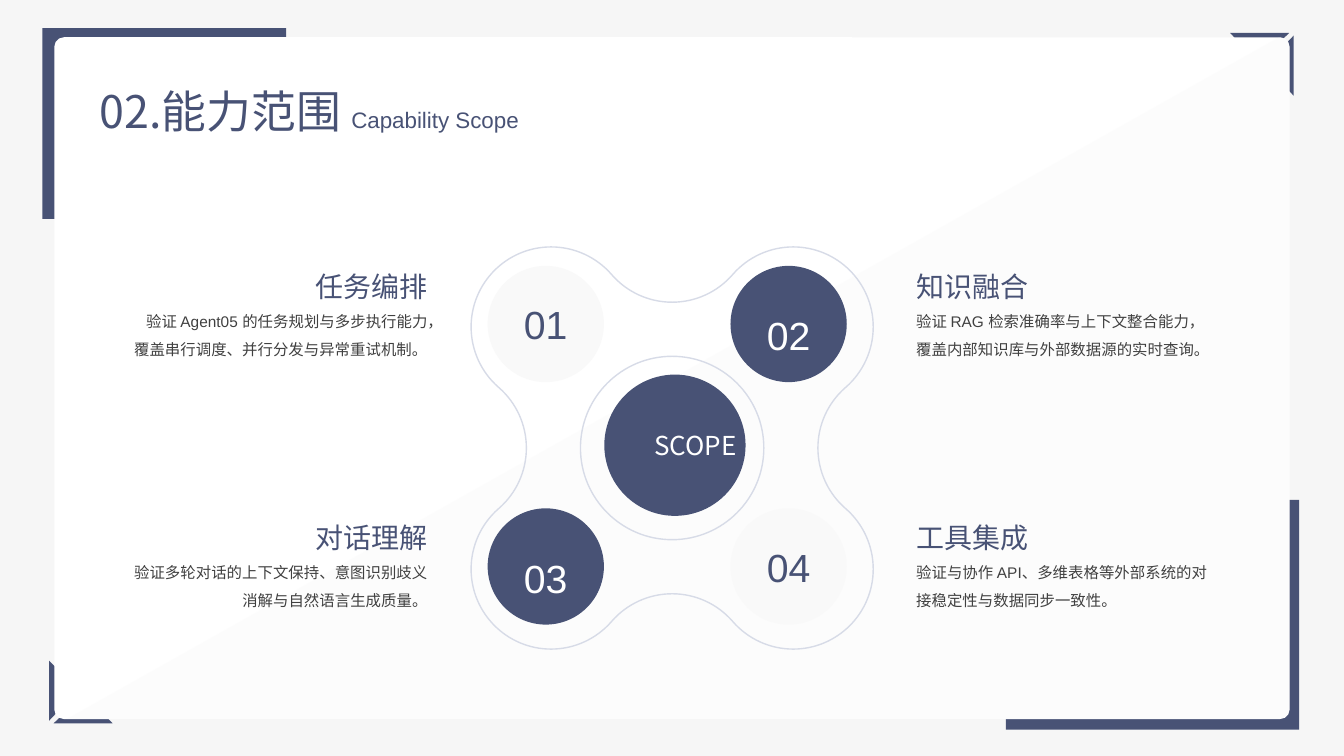
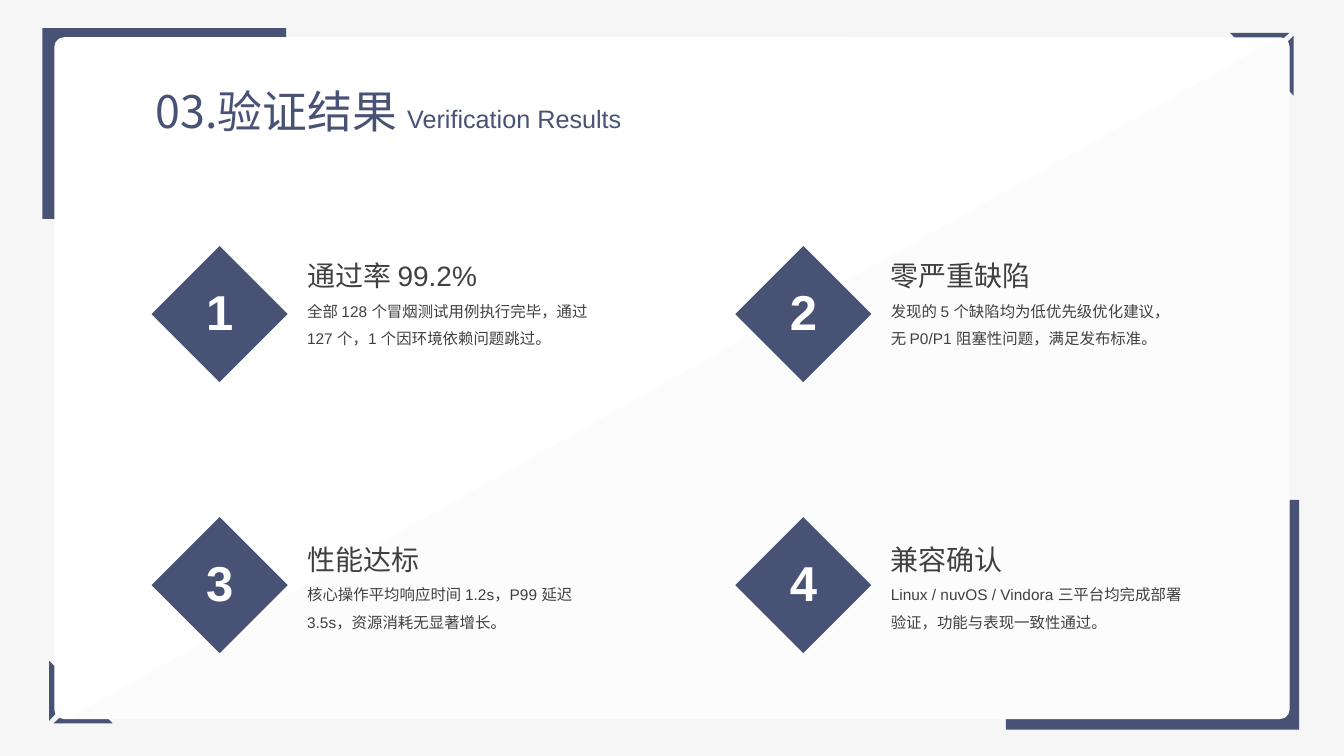
from dataclasses import dataclass
from math import atan2, ceil, cos, degrees, floor, hypot, radians, sin, tan
from typing import Optional

from lxml.etree import SubElement
from pptx import Presentation
from pptx.dml.color import RGBColor
from pptx.enum.shapes import MSO_SHAPE
from pptx.enum.text import MSO_ANCHOR, MSO_AUTO_SIZE, PP_ALIGN
from pptx.oxml.ns import qn
from pptx.shapes.autoshape import Shape
from pptx.slide import Slide
from pptx.text.text import TextFrame
from pptx.util import Cm, Pt

COLORS = {
    "page": "F6F6F6",
    "card": "FFFFFF",
    "navy": "485275",
    "shade": "F2F2F2",
    "pale": "F9F9F9",
    "outline": "D7DBE7",
    "body": "404040",
    "white": "FFFFFF",
}
LATIN, CJK = "Arial", "Noto Sans CJK SC"

Point = tuple[float, float]
Segment = tuple[Point, ...]  # one point for a line, three for a Bézier curve


@dataclass(frozen=True)
class Box:
    """Left, top, width and height in centimetres."""
    x: float
    y: float
    w: float
    h: float

    def shifted(self, dx: float, dy: float) -> "Box":
        return Box(self.x + dx, self.y + dy, self.w, self.h)

    def emu(self) -> tuple[Cm, Cm, Cm, Cm]:
        return Cm(self.x), Cm(self.y), Cm(self.w), Cm(self.h)


@dataclass(frozen=True)
class Item:
    title: str
    body: str


CAPABILITIES = [
    Item("任务编排", "验证 Agent05 的任务规划与多步执行能力，覆盖串行调度、并行分发与异常重试机制。"),
    Item("知识融合", "验证 RAG 检索准确率与上下文整合能力，覆盖内部知识库与外部数据源的实时查询。"),
    Item("对话理解", "验证多轮对话的上下文保持、意图识别歧义消解与自然语言生成质量。"),
    Item("工具集成", "验证与协作 API、多维表格等外部系统的对接稳定性与数据同步一致性。"),
]
RESULTS = [
    Item("通过率 99.2%", "全部 128 个冒烟测试用例执行完毕，通过 127 个，1 个因环境依赖问题跳过。"),
    Item("零严重缺陷", "发现的 5 个缺陷均为低优先级优化建议，无 P0/P1 阻塞性问题，满足发布标准。"),
    Item("性能达标", "核心操作平均响应时间 1.2s，P99 延迟 3.5s，资源消耗无显著增长。"),
    Item("兼容确认", "Linux / nuvOS / Vindora 三平台均完成部署验证，功能与表现一致性通过。"),
]


def rgb(name: str) -> RGBColor:
    return RGBColor.from_string(COLORS[name])


def paint(sp: Shape, fill: Optional[str], line: Optional[str] = None) -> Shape:
    sp.shadow.inherit = False
    if fill:
        sp.fill.solid()
        sp.fill.fore_color.rgb = rgb(fill)
    else:
        sp.fill.background()
    if line:
        sp.line.color.rgb = rgb(line)
        sp.line.width = Pt(1)
    else:
        sp.line.fill.background()
    return sp


def add_shape(s: Slide, kind: MSO_SHAPE, box: Box, fill: str) -> Shape:
    return paint(s.shapes.add_shape(kind, *box.emu()), fill)


def add_outline(s: Slide, contours: list[list[Segment]], fill: Optional[str],
                line: Optional[str] = None) -> Shape:
    """Draw closed contours of lines and curves as one freeform."""
    builder = None
    for (start,), *segments in contours:
        x, y = Cm(start[0]), Cm(start[1])
        if builder is None:
            builder = s.shapes.build_freeform(x, y, scale=1.0)
        else:
            builder.move_to(x, y)
        builder.add_line_segments(
            [(Cm(px), Cm(py)) for seg in segments for px, py in seg], close=True)
    sp = builder.convert_to_shape()
    nodes = iter(list(sp.element.iter(qn("a:lnTo"))))
    for seg in (seg for contour in contours for seg in contour[1:]):
        node = next(nodes)
        if len(seg) == 3:
            node.tag = qn("a:cubicBezTo")
            for extra in (next(nodes), next(nodes)):
                node.append(extra[0])
                extra.getparent().remove(extra)
    return paint(sp, fill, line)


def polar(center: Point, radius: float, angle: float) -> Point:
    a = radians(angle)
    return center[0] + radius * cos(a), center[1] + radius * sin(a)


def arc(center: Point, radius: float, start: float, end: float) -> list[Segment]:
    """Start point, then curves that break at every right angle."""
    low, high = min(start, end), max(start, end)
    turns = [90 * k for k in range(floor(low / 90) + 1, ceil(high / 90))]
    stops = [low, *turns, high]
    if end < start:
        stops.reverse()
    segments: list[Segment] = [(polar(center, radius, start),)]
    for a, b in zip(stops, stops[1:]):
        reach = 4 / 3 * tan(radians(b - a) / 4)
        lift, swing = hypot(1, reach) * radius, degrees(atan2(reach, 1))
        segments.append((polar(center, lift, a + swing),
                         polar(center, lift, b - swing),
                         polar(center, radius, b)))
    return segments


def add_frame(s: Slide, box: Box, wrap: bool = True, grow: bool = True) -> TextFrame:
    tf = s.shapes.add_textbox(*box.emu()).text_frame
    tf.word_wrap = wrap
    if grow:
        tf.auto_size = MSO_AUTO_SIZE.SHAPE_TO_FIT_TEXT
    return tf


def write(tf: TextFrame, text: str, *, size: float, color: str = "navy",
          font: str = LATIN, bold: bool = False,
          align: PP_ALIGN = PP_ALIGN.LEFT, spacing: float = 1.0,
          same_line: bool = False) -> None:
    """Write a paragraph, or a further run of the last one."""
    p = tf.paragraphs[-1]
    if p.runs and not same_line:
        p = tf.add_paragraph()
    p.alignment, p.line_spacing = align, spacing
    r = p.add_run()
    r.text = text
    r.font.size, r.font.name, r.font.bold = Pt(size), font, bold
    r.font.color.rgb = rgb(color)
    SubElement(r._r.get_or_add_rPr(), qn("a:ea")).set("typeface", CJK)


def add_item(s: Slide, box: Box, item: Item, *, color: str, spacing: float,
             align: PP_ALIGN = PP_ALIGN.LEFT) -> None:
    tf = add_frame(s, box)
    write(tf, item.title, size=20, color=color, spacing=spacing, align=align)
    write(tf, item.body, size=11, color="body", spacing=1.5, align=align)


def add_card(s: Slide) -> None:
    """Draw the white card with its corner brackets and diagonal shade."""
    add_shape(s, MSO_SHAPE.RECTANGLE, Box(1.07, 0.71, 6.14, 4.81), "navy")
    add_shape(s, MSO_SHAPE.RECTANGLE, Box(25.35, 12.6, 7.39, 5.79), "navy")
    corner = [
        [(1.6, 17.02), (1.6, 17.78), (1.24, 18.16), (1.24, 16.65)],
        [(2.84, 18.23), (1.35, 18.23), (1.73, 17.86), (2.49, 17.86)],
    ]
    opposite = [[(33.84 - x, 19.06 - y) for x, y in ring] for ring in corner]
    for contours in (corner, opposite):
        add_outline(s, [[(point,) for point in ring] for ring in contours], "navy")
    card = add_shape(s, MSO_SHAPE.ROUNDED_RECTANGLE, Box(1.37, 0.94, 31.13, 17.18), "card")
    card.adjustments[0] = 0.014
    shade = add_outline(s, [[
        ((1.68, 18.12),), ((32.23, 0.94),),
        *arc((32.26, 1.18), 0.24, -90, 0),
        *arc((32.26, 17.88), 0.24, 0, 90),
    ]], "shade")
    color = shade.element.spPr.find(".//" + qn("a:srgbClr"))
    SubElement(color, qn("a:alpha")).set("val", "16000")


def move_to_layout(s: Slide) -> None:
    """Hand the shapes of a slide over to its layout."""
    for number, sp in enumerate(list(s.shapes), 101):
        sp.element.nvSpPr.cNvPr.set("id", str(number))
        s.slide_layout.shapes.element.append(sp.element)


def add_title(s: Slide, title: str, subtitle: str, *, width: float,
              subtitle_size: float, align: PP_ALIGN) -> None:
    tf = add_frame(s, Box(2.26, 1.98, width, 1.63), wrap=False)
    write(tf, title + " ", size=32, font=CJK, align=align)
    write(tf, subtitle, size=subtitle_size, align=align, same_line=True)


def add_clover(s: Slide) -> None:
    """Draw four lobes joined by tangent hollows, around a ring."""
    center, lobe, hollow = (16.94, 11.29), 3.05, 5.69
    radius = hypot(lobe, hollow - lobe) / 2
    half = degrees(atan2(lobe, hollow - lobe))
    edge: list[Segment] = []
    for axis in range(0, 360, 90):
        diagonal = axis - 45
        bulge = arc(polar(center, hypot(lobe, lobe), diagonal), radius,
                    diagonal - 45 - half, diagonal + 45 + half)
        dent = arc(polar(center, hollow, axis), radius,
                   axis + 180 + half, axis + 180 - half)
        edge += (bulge[1:] if edge else bulge) + dent[1:]
    add_outline(s, [edge, arc(center, 2.31, 0, 360)], None, "outline")


def build_scope(s: Slide) -> None:
    add_title(s, "02.能力范围", "Capability Scope", width=16.07,
              subtitle_size=16, align=PP_ALIGN.LEFT)
    add_clover(s)
    for i, item in enumerate(CAPABILITIES):
        row, col = divmod(i, 2)
        dark = row != col
        disc = add_shape(s, MSO_SHAPE.OVAL,
                         Box(12.29, 6.7, 2.93, 2.93).shifted(6.12 * col, 6.11 * row),
                         "navy" if dark else "pale")
        tf = disc.text_frame
        tf.vertical_anchor = MSO_ANCHOR.TOP if dark else MSO_ANCHOR.MIDDLE
        write(tf, f"{i + 1:02}", size=28, color="white" if dark else "navy",
              align=PP_ALIGN.CENTER, spacing=1.5 if dark else 1.0)
        add_item(s, Box(3.08, 6.25, 7.95, 3.66).shifted(19.76 * col, 6.32 * row), item,
                 color="navy", spacing=1.5,
                 align=PP_ALIGN.LEFT if col else PP_ALIGN.RIGHT)
    add_shape(s, MSO_SHAPE.OVAL, Box(15.23, 9.44, 3.56, 3.56), "navy")
    tf = add_frame(s, Box(15.24, 10.69, 3.58, 1.04), wrap=False)
    write(tf, "SCOPE", size=18.6, color="white", font=CJK, align=PP_ALIGN.RIGHT)


def build_results(s: Slide) -> None:
    add_title(s, "03.验证结果", "Verification Results", width=15.06,
              subtitle_size=18, align=PP_ALIGN.CENTER)
    for i, item in enumerate(RESULTS):
        row, col = divmod(i, 2)
        dx, dy = 14.71 * col, 6.83 * row
        add_shape(s, MSO_SHAPE.DIAMOND, Box(3.82, 6.2, 3.43, 3.43).shifted(dx, dy), "navy")
        tf = add_frame(s, Box(4.74, 7.18, 1.6, 1.5).shifted(dx, dy), grow=False)
        tf.vertical_anchor = MSO_ANCHOR.MIDDLE
        tf.margin_left = tf.margin_right = Cm(0.18)
        tf.margin_top = tf.margin_bottom = Cm(0.1)
        write(tf, str(i + 1), size=35, color="white", bold=True,
              align=PP_ALIGN.CENTER, spacing=0.9)
        add_item(s, Box(7.49, 5.55, 7.85, 4.09).shifted(dx, 7.15 * row), item,
                 color="body", spacing=2.0)


def main() -> None:
    prs = Presentation()
    prs.slide_width, prs.slide_height = Cm(33.87), Cm(19.05)
    background = prs.slide_master.background.fill
    background.solid()
    background.fore_color.rgb = rgb("page")
    blank = prs.slide_layouts[6]
    scope, results = (prs.slides.add_slide(blank) for _ in range(2))
    add_card(scope)
    move_to_layout(scope)
    build_scope(scope)
    build_results(results)
    prs.save("out.pptx")


if __name__ == "__main__":
    main()
